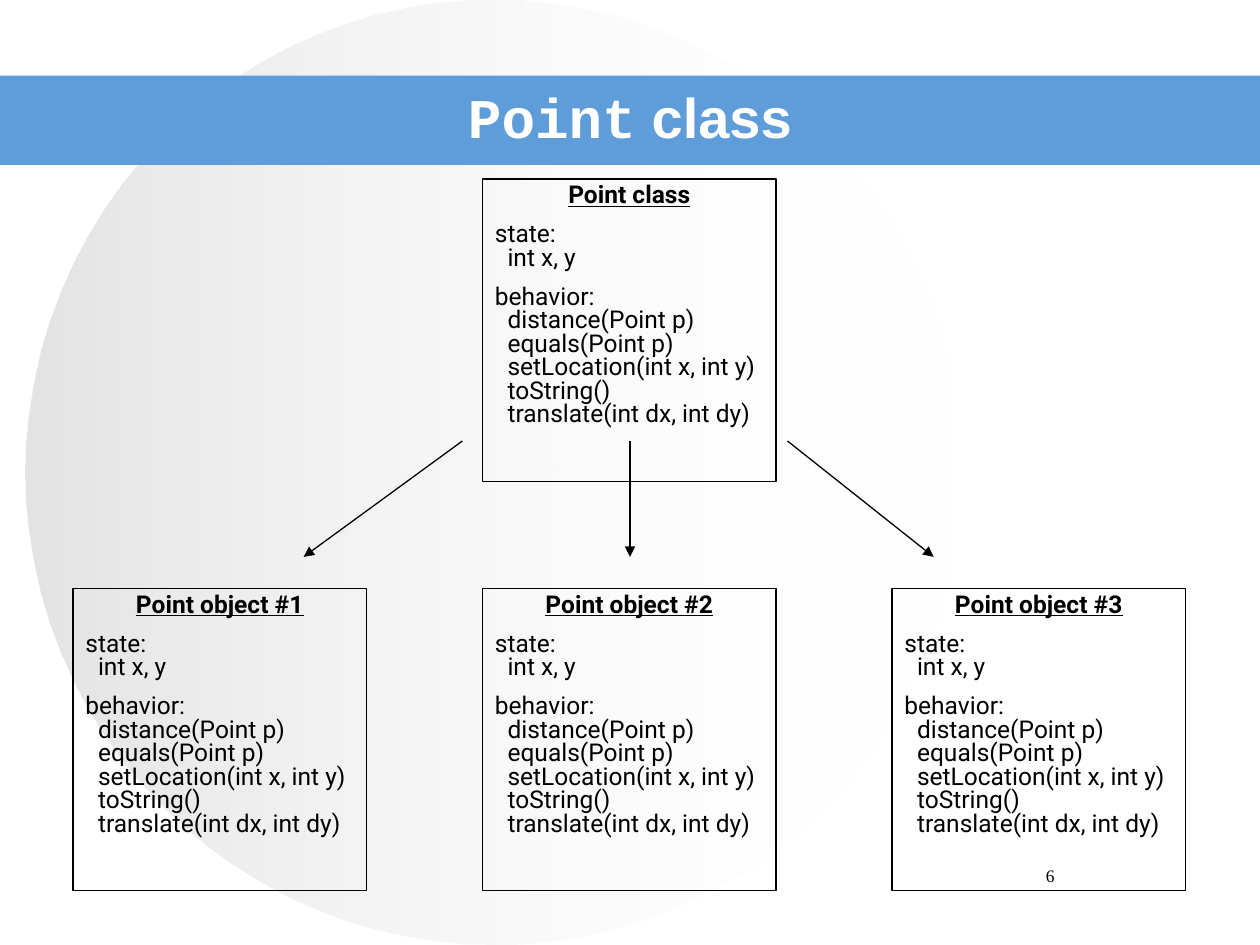
from lxml.etree import SubElement
from pptx import Presentation
from pptx.dml.color import RGBColor
from pptx.enum.shapes import MSO_CONNECTOR, MSO_SHAPE
from pptx.enum.text import MSO_ANCHOR, PP_ALIGN
from pptx.oxml.ns import qn
from pptx.util import Inches, Pt

COLORS = {"ink": "000000", "paper": "FFFFFF", "band": "5E9CDA", "disc": "C0C0C0"}
BOX_WIDTH, BOX_HEIGHT = 2.33, 2.4
CLASS_LEFT, CLASS_TOP = 3.83, 1.42
OBJECT_LEFT, OBJECT_TOP, OBJECT_STEP = 0.58, 4.67, 3.25
ARROW_TOP, ARROW_BOTTOM = 3.5, 4.42
ARROW_ENDS = [(3.67, 2.41), (5, 5), (6.25, 7.41)]
SECTIONS = {
    "state:": ["int x, y"],
    "behavior:": [
        "distance(Point p)",
        "equals(Point p)",
        "setLocation(int x, int y)",
        "toString()",
        "translate(int dx, int dy)",
    ],
}


def color(name):
    return RGBColor.from_string(COLORS[name])


def add_text(para, text, font="Roboto", size=14, ink="ink", bold=False, underline=False):
    span = para.add_run()
    span.text = text
    span.font.name = font
    span.font.size = Pt(size)
    span.font.bold = bold
    span.font.underline = underline
    span.font.color.rgb = color(ink)


def add_shape(page, kind, left, top, width, height):
    """Add a preset shape without shadow or outline."""
    shape = page.shapes.add_shape(
        kind, Inches(left), Inches(top), Inches(width), Inches(height)
    )
    shape.shadow.inherit = False
    shape.line.fill.background()
    return shape


def add_backdrop(page):
    """Draw the fading disc and the title band."""
    disc = add_shape(page, MSO_SHAPE.OVAL, 0.2, 0, 7.44, 7.5)
    disc.fill.gradient()
    disc.fill.gradient_angle = 0
    stops = zip(disc.fill.gradient_stops, [("disc", 0, 44), ("paper", 1, 0)])
    for stop, (name, position, opacity) in stops:
        stop.color.rgb = color(name)
        stop.position = position
    for tone, opacity in zip(disc.element.iter(qn("a:srgbClr")), (44, 0)):
        SubElement(tone, qn("a:alpha"), val=str(opacity * 1000))
    band = add_shape(page, MSO_SHAPE.RECTANGLE, 0, 0.6, 10, 0.71)
    band.fill.solid()
    band.fill.fore_color.rgb = color("band")


def add_title(page):
    title = page.shapes.title
    title.element.getparent().append(title.element)  # in front of the band
    title.left, title.top = Inches(0.5), Inches(0.3)
    title.width, title.height = Inches(9), Inches(1.25)
    title.text_frame.vertical_anchor = MSO_ANCHOR.MIDDLE
    para = title.text_frame.paragraphs[0]
    para.alignment = PP_ALIGN.CENTER
    add_text(para, "Point", font="Courier New", size=32, ink="paper", bold=True)
    add_text(para, " class", font="Arial", size=32, ink="paper", bold=True)


def add_page_number(page, number):
    box = page.shapes.add_textbox(Inches(7.17), Inches(6.82), Inches(2.33), Inches(0.5))
    box.text_frame.word_wrap = True
    para = box.text_frame.paragraphs[0]
    para.alignment = PP_ALIGN.CENTER
    add_text(para, number, font="Times New Roman", size=10)


def add_card(page, heading, left, top):
    """Draw an outlined card listing the state and behavior of a Point."""
    card = add_shape(page, MSO_SHAPE.RECTANGLE, left, top, BOX_WIDTH, BOX_HEIGHT)
    card.fill.background()
    card.line.color.rgb = color("ink")
    card.line.width = Pt(0.75)
    frame = card.text_frame
    frame.word_wrap = True
    frame.vertical_anchor = MSO_ANCHOR.TOP
    para = frame.paragraphs[0]
    para.alignment = PP_ALIGN.CENTER
    para.line_spacing = 0.8
    add_text(para, heading, bold=True, underline=True)
    for label, members in SECTIONS.items():
        for text in [label, *members]:
            para = frame.add_paragraph()
            para.alignment = PP_ALIGN.LEFT
            para.line_spacing = 0.8
            if text == label:
                para.space_before = Pt(8.8)
            else:
                para.space_before = Pt(0)
                para._p.get_or_add_pPr().set("marL", str(Inches(0.1)))
            add_text(para, text)


def add_arrow(page, start, end):
    arrow = page.shapes.add_connector(
        MSO_CONNECTOR.STRAIGHT,
        Inches(start), Inches(ARROW_TOP), Inches(end), Inches(ARROW_BOTTOM),
    )
    arrow.line.color.rgb = color("ink")
    arrow.line.width = Pt(0.75)
    SubElement(arrow.line._get_or_add_ln(), qn("a:tailEnd"), type="triangle")
    SubElement(arrow.element.spPr, qn("a:effectLst"))


def main():
    deck = Presentation()
    deck.slide_width, deck.slide_height = Inches(10), Inches(7.5)
    page = deck.slides.add_slide(deck.slide_layouts[5])
    add_backdrop(page)
    add_page_number(page, "6")
    add_title(page)
    add_card(page, "Point class", CLASS_LEFT, CLASS_TOP)
    for index in range(3):
        left = OBJECT_LEFT + index * OBJECT_STEP
        add_card(page, f"Point object #{index + 1}", left, OBJECT_TOP)
    for start, end in ARROW_ENDS:
        add_arrow(page, start, end)
    deck.save("out.pptx")


if __name__ == "__main__":
    main()
